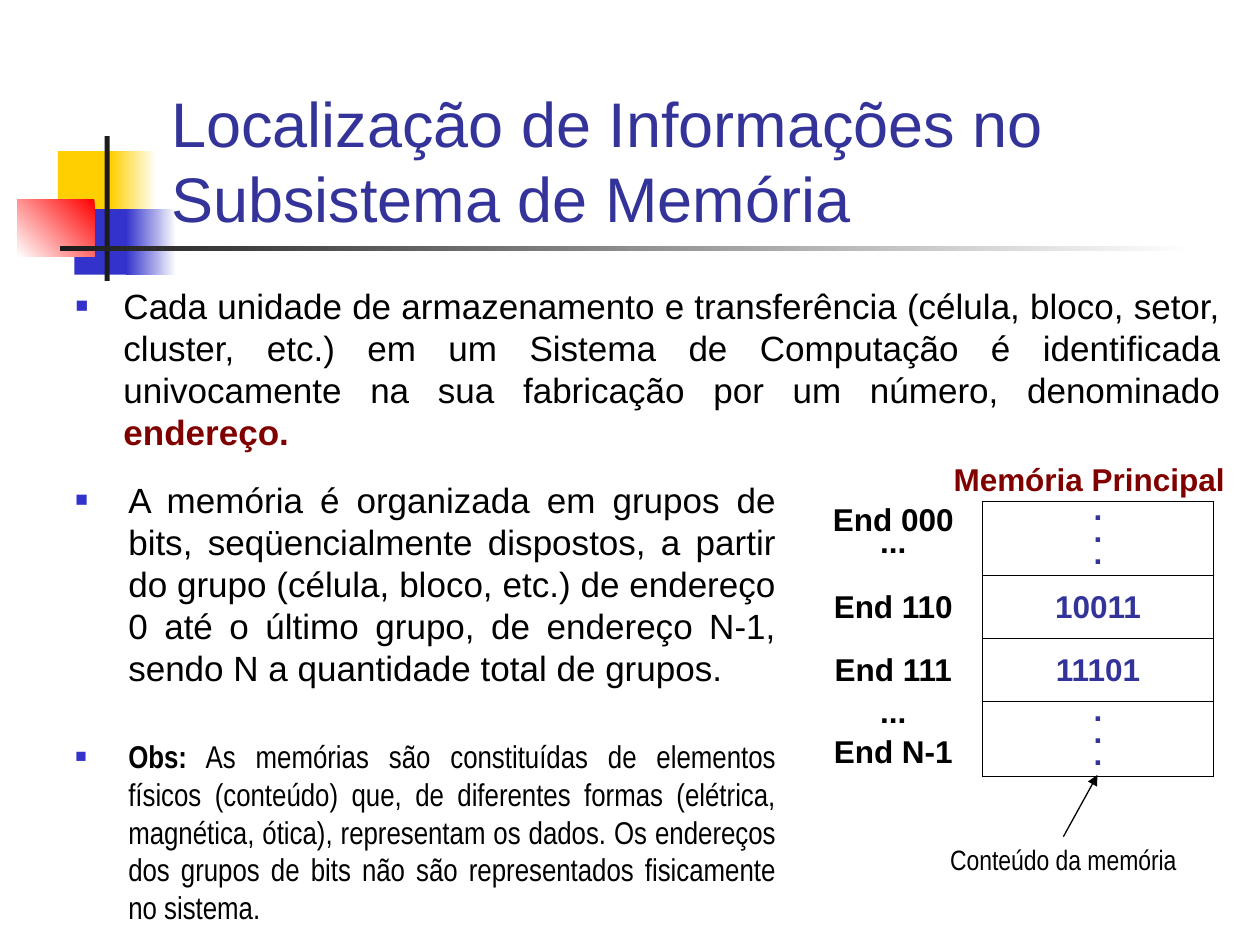
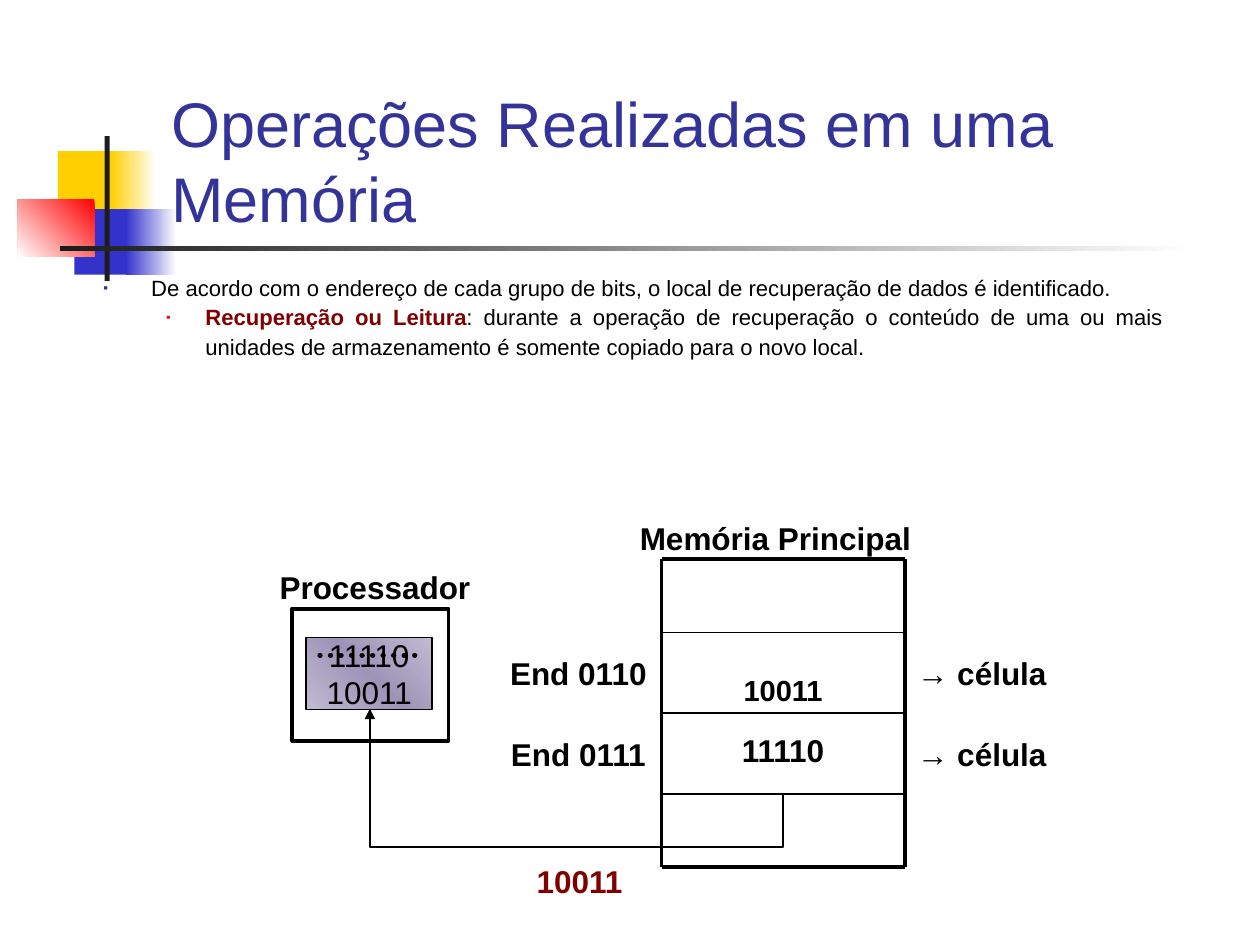
"""Builds two slides on memory addressing and the read operation."""
from copy import deepcopy

from lxml import etree
from pptx import Presentation
from pptx.dml.color import RGBColor
from pptx.enum import dml, shapes, text
from pptx.oxml.ns import qn
from pptx.util import Inches, Pt

COLORS = {"ink": "000000", "paper": "FFFFFF", "title": "333399", "accent": "800000",
          "yellow": "FFCF01", "blue": "3333CC", "red": "FF0000", "bar": "1C1C1C",
          "lilac": "C1BBD2", "violet": "9E94B8"}
LEFT, CENTER, JUSTIFY = text.PP_ALIGN.LEFT, text.PP_ALIGN.CENTER, text.PP_ALIGN.JUSTIFY
TOP, MIDDLE, BOTTOM = text.MSO_ANCHOR.TOP, text.MSO_ANCHOR.MIDDLE, text.MSO_ANCHOR.BOTTOM
RECTANGLE = shapes.MSO_SHAPE.RECTANGLE
STRAIGHT, ELBOW = shapes.MSO_CONNECTOR.STRAIGHT, shapes.MSO_CONNECTOR.ELBOW


def paint(shape, names, angle=180):
    """Fill a shape with one colour, or with an even gradient of several."""
    shape.shadow.inherit = False
    if len(names) == 1:
        shape.fill.solid()
        shape.fill.fore_color.rgb = RGBColor.from_string(COLORS[names[0]])
        return
    shape.fill.gradient()
    shape.fill.gradient_angle = angle
    stop_list = shape._element.spPr.find(".//" + qn("a:gsLst"))
    for extra in range(len(names) - 2):
        stop_list.insert(1, deepcopy(stop_list[0]))
    for index, (stop, name) in enumerate(zip(shape.fill.gradient_stops, names)):
        stop.position = index / (len(names) - 1)
        stop.color.rgb = RGBColor.from_string(COLORS[name])


def style(frame, size, color="ink", bold=False, align=LEFT, before=0, spacing=1.0):
    """Format every paragraph and run of a text frame."""
    for para in frame.paragraphs:
        para.alignment = align
        para.space_before = Pt(before)
        para.line_spacing = spacing
        for span in para.runs:
            span.font.size = Pt(size)
            span.font.name = "Arial"
            span.font.bold = bold
            span.font.color.rgb = RGBColor.from_string(COLORS[color])


deck = Presentation()
deck.slide_width, deck.slide_height = Inches(10), Inches(7.5)
titles = ["Localização de Informações no Subsistema de Memória",
          "Operações Realizadas em uma Memória"]
body_places = [(0.5, 2.21, 9.29, 1.54), (0.72, 2.11, 8.6, 0.88)]
pages, bodies = [], []
for title, place in zip(titles, body_places):
    page = deck.slides.add_slide(deck.slide_layouts[1])
    heading, body = page.shapes.title, page.placeholders[1]
    for box, at in ((heading, (1.26, 0.67, 8.52, 1.25)), (body, place)):
        box.left, box.top, box.width, box.height = map(Inches, at)
        box.text_frame.auto_size = text.MSO_AUTO_SIZE.NONE
    heading.text_frame.text = title
    heading.text_frame.vertical_anchor = BOTTOM
    style(heading.text_frame, 36, "title")
    pages.append(page)
    bodies.append(body.text_frame)
address_page, read_page = pages

ornaments = [((0.46, 1.2, 0.48, 0.52), ["yellow"], 180),
             ((0.88, 1.2, 0.36, 0.52), ["paper", "yellow"], 180),
             ((0.59, 1.66, 0.46, 0.52), ["blue"], 180),
             ((1, 1.66, 0.4, 0.52), ["paper", "blue"], 180),
             ((0.14, 1.58, 0.61, 0.46), ["red", "paper"], 225),
             ((0.83, 1.08, 0.04, 1.15), ["bar"], 180),
             ((0.48, 1.95, 9, 0.04), ["paper", "bar"], 180)]
master_tree = deck.slide_master.shapes._spTree
for index, (place, names, angle) in enumerate(ornaments):
    ornament = address_page.shapes.add_shape(RECTANGLE, *map(Inches, place))
    paint(ornament, names, angle)
    ornament.line.fill.background()
    ornament._element.find(".//" + qn("p:cNvPr")).set("id", str(100 + index))
    master_tree.insert(2 + index, ornament._element)

address_text = bodies[0]
address_text.text = ("Cada unidade de armazenamento e transferência (célula, bloco, setor, "
                     "cluster, etc.) em um Sistema de Computação é identificada univocamente "
                     "na sua fabricação por um número, denominado ")
address_text.paragraphs[0].add_run().text = "endereço."
style(address_text, 20, align=JUSTIFY, before=5)
keyword = address_text.paragraphs[0].runs[1].font

read_text = bodies[1]
read_text.text = ("De acordo com o endereço de cada grupo de bits, o local de recuperação de "
                  "dados é identificado.\nRecuperação ou Leitura")
read_text.paragraphs[1].level = 1
read_text.paragraphs[1].add_run().text = (
    ": durante a operação de recuperação o conteúdo de uma ou mais unidades de "
    "armazenamento é somente copiado para o novo local.")
style(read_text, 12.6, align=JUSTIFY, spacing=1.1)
for font in (keyword, read_text.paragraphs[1].runs[0].font):
    font.bold = True
    font.color.rgb = RGBColor.from_string(COLORS["accent"])

memory_rows = [("End 000\n...", ".\n.\n.", 0.59), ("End 110", "10011", 0.5),
               ("End 111", "11101", 0.5), ("...\nEnd N-1", ".\n.\n.", 0.59)]
table = address_page.shapes.add_table(4, 2, Inches(6.38), Inches(3.98),
                                      Inches(3.25), Inches(2.18)).table
table.first_row = table.horz_banding = False
table._tbl.tblPr.find(qn("a:tableStyleId")).text = "{2D5ABB26-0587-4C30-8999-92F81FD0307C}"
table.columns[0].width, table.columns[1].width = Inches(1.42), Inches(1.83)
for row, (address, content, height) in enumerate(memory_rows):
    table.rows[row].height = Inches(height)
    for column, words in enumerate((address, content)):
        cell = table.cell(row, column)
        cell.text_frame.text = words
        cell.vertical_anchor = MIDDLE
        style(cell.text_frame, 18, ("ink", "title")[column], True, CENTER, 4.5,
              0.4 if "\n" in words else 1.0)
        properties = cell._tc.get_or_add_tcPr()
        for side in (["lnR"], ["lnL", "lnR", "lnT", "lnB"])[column]:
            edge = etree.SubElement(properties, qn("a:" + side), w=str(Pt(0.45)))
            paper = etree.SubElement(edge, qn("a:solidFill"))
            etree.SubElement(paper, qn("a:srgbClr"), val=COLORS["ink"])
        cell.fill.background()
table.cell(3, 0).text_frame.paragraphs[1].space_before = Pt(15)

notes_box = address_page.shapes.add_shape(RECTANGLE, *map(Inches, (0.5, 3.75, 5.76, 3.65)))
paint(notes_box, ["paper"])
notes_box.line.fill.background()
notes_text = notes_box.text_frame
notes_text.word_wrap = True
notes_text.vertical_anchor = TOP
notes_text.text = ("A memória é organizada em grupos de bits, seqüencialmente dispostos, a "
                   "partir do grupo (célula, bloco, etc.) de endereço 0 até o último grupo, de "
                   "endereço N-1, sendo N a quantidade total de grupos.\nObs:")
remark = notes_text.paragraphs[1]
remark.add_run().text = (
    " As memórias são constituídas de elementos físicos (conteúdo) que, de diferentes formas "
    "(elétrica, magnética, ótica), representam os dados. Os endereços dos grupos de bits não "
    "são representados fisicamente no sistema.")
style(notes_text, 20, align=JUSTIFY, before=5)
remark.space_before = Pt(27.5)
for span in remark.runs:
    span.font.name, span.font.size = "Arial Narrow", Pt(18)
remark.runs[0].font.bold = True

bullets = [(address_text.paragraphs[0], "■", "blue", 60, 0.38, 0.38),
           (notes_text.paragraphs[0], "■", "blue", 60, 0.42, 0.42),
           (remark, "■", "blue", 60, 0.42, 0.42),
           (read_text.paragraphs[0], "▪", "title", 60, 0.38, 0.38),
           (read_text.paragraphs[1], "▪", "red", 55, 0.81, 0.31)]
for para, glyph, color, percent, margin, hanging in bullets:
    properties = para._p.get_or_add_pPr()
    properties.set("marL", str(Inches(margin)))
    properties.set("indent", str(-Inches(hanging)))
    tint = etree.SubElement(properties, qn("a:buClr"))
    etree.SubElement(tint, qn("a:srgbClr"), val=COLORS[color])
    etree.SubElement(properties, qn("a:buSzPct"), val=str(percent * 1000))
    etree.SubElement(properties, qn("a:buFont"), typeface="Arial")
    etree.SubElement(properties, qn("a:buChar"), char=glyph)

processor = read_page.shapes.add_shape(RECTANGLE, *map(Inches, (2.32, 4.83, 1.24, 1.05)))
processor.shadow.inherit = False
processor.fill.background()
register = read_page.shapes.add_shape(RECTANGLE, *map(Inches, (2.43, 5.06, 1, 0.57)))
paint(register, ["lilac", "violet", "lilac"], 225)
for box, weight in ((processor, 2.25), (register, 0.75)):
    box.line.color.rgb = RGBColor.from_string(COLORS["ink"])
    box.line.width = Pt(weight)
register.text_frame.text = "11110\n10011"
register.text_frame.word_wrap = False
register.text_frame.vertical_anchor = MIDDLE
style(register.text_frame, 18, align=CENTER)

memory_left, memory_right, memory_top, memory_bottom = 5.25, 7.18, 4.44, 6.88
cell_tops, cell_height = [5.02, 5.66], 0.64
cell_words = [("End 0110", "10011", 16.6, BOTTOM, 1.0), ("End 0111", "11110", 18, MIDDLE, 0.8)]
for top, (address, content, size, anchor, spacing) in zip(cell_tops, cell_words):
    fields = [(address, 3.93, 1.32, 18, MIDDLE, CENTER, 1.0),
              (content, memory_left, 1.93, size, anchor, CENTER, spacing),
              ("→ célula", memory_right, 1.93, 18, MIDDLE, LEFT, 1.0)]
    for words, left, width, points, place, align, leading in fields:
        box = read_page.shapes.add_textbox(*map(Inches, (left, top, width, cell_height)))
        box.text_frame.text = words
        box.text_frame.word_wrap = True
        box.text_frame.vertical_anchor = place
        style(box.text_frame, points, "ink", True, align, 4.5, leading)

labels = [(address_page, "Conteúdo da memória", (7.44, 6.64, 2, 0.37), "ink", CENTER),
          (address_page, "Memória Principal", (7.47, 3.6, 2.37, 0.4), "accent", LEFT),
          (read_page, "10011", (4.16, 6.79, 0.91, 0.4), "accent", LEFT),
          (read_page, "Processador", (2.12, 4.46, 1.75, 0.4), "ink", LEFT),
          (read_page, "Memória Principal", (4.98, 4.07, 2.37, 0.4), "ink", LEFT)]
for page, words, place, color, align in labels:
    box = page.shapes.add_textbox(*map(Inches, place))
    box.text_frame.text = words
    box.text_frame.word_wrap = False
    box.text_frame.auto_size = text.MSO_AUTO_SIZE.SHAPE_TO_FIT_TEXT
    style(box.text_frame, 18, color, True, align)
    if align == CENTER:
        font = box.text_frame.paragraphs[0].runs[0].font
        font.name, font.size, font.bold = "Arial Narrow", Pt(16), False

lines = [(address_page, STRAIGHT, (8.44, 6.64, 8.71, 6.15), 0.75, "tailEnd"),
         (read_page, ELBOW, (4.91, 4.32, 4.24, 7.6), 0.75, "headEnd"),
         (read_page, STRAIGHT, (2.54, 5.2, 3.33, 5.2), 3, None)]
for y in (*cell_tops, cell_tops[-1] + cell_height):
    lines.append((read_page, STRAIGHT, (memory_left, y, memory_right, y), 1, None))
for y in (memory_top, memory_bottom):
    lines.append((read_page, STRAIGHT, (memory_left, y, memory_right, y), 2.25, None))
for x in (memory_left, memory_right):
    lines.append((read_page, STRAIGHT, (x, memory_top, x, memory_bottom), 2.25, None))
for page, kind, ends, weight, arrow in lines:
    connector = page.shapes.add_connector(kind, *map(Inches, ends))
    connector.line.color.rgb = RGBColor.from_string(COLORS["ink"])
    connector.line.width = Pt(weight)
    properties = connector._element.spPr
    if weight == 3:
        connector.line.dash_style = dml.MSO_LINE.ROUND_DOT
        properties.find(qn("a:ln")).set("cap", "rnd")
    if arrow:
        etree.SubElement(properties.find(qn("a:ln")), qn("a:" + arrow), type="triangle")
    if kind == ELBOW:
        properties.find(qn("a:xfrm")).set("rot", str(270 * 60000))
        guides = properties.find(".//" + qn("a:avLst"))
        etree.SubElement(guides, qn("a:gd"), name="adj1", fmla="val 163900")
    etree.SubElement(properties, qn("a:effectLst"))

deck.save("out.pptx")
